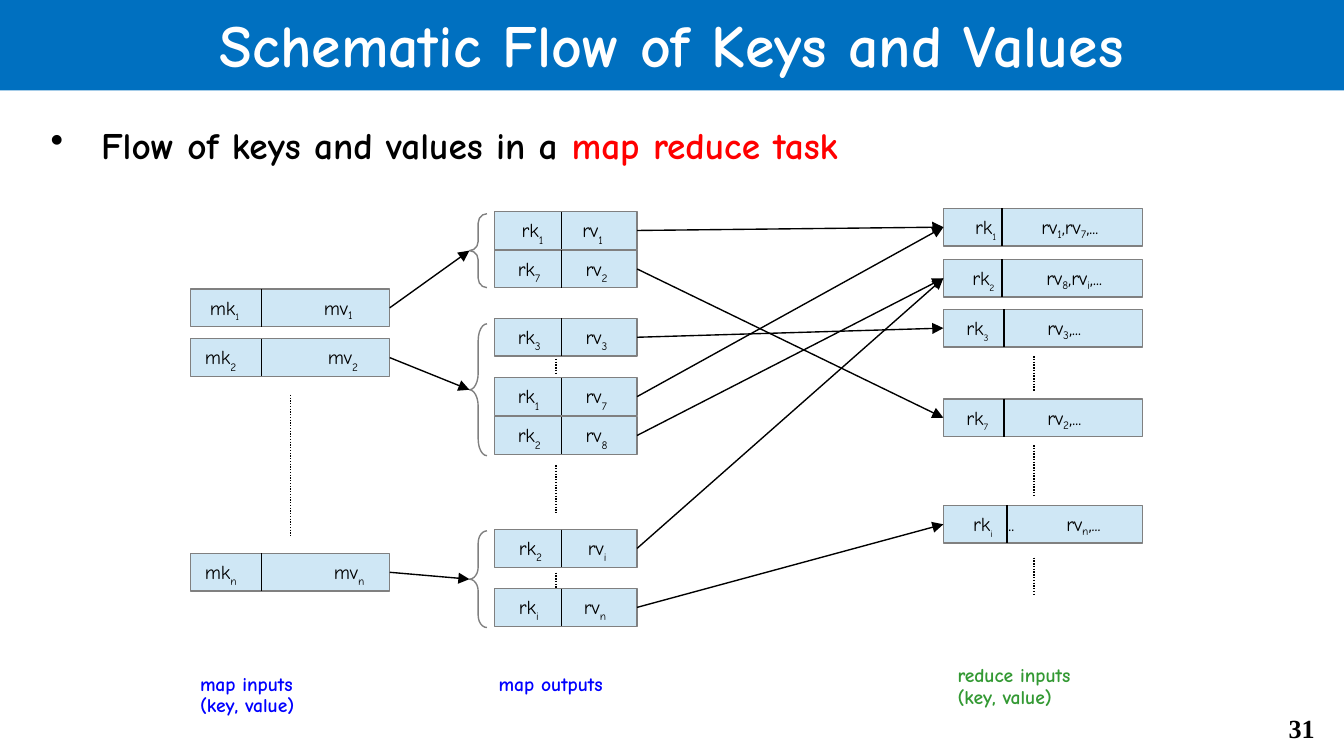
from dataclasses import dataclass
from itertools import chain

from lxml.etree import SubElement
from pptx import Presentation
from pptx.dml.color import RGBColor
from pptx.enum.dml import MSO_LINE_DASH_STYLE as Dash
from pptx.enum.shapes import MSO_CONNECTOR as Connector, MSO_SHAPE as Shape
from pptx.enum.text import MSO_ANCHOR as Anchor, PP_ALIGN as Align
from pptx.oxml.ns import qn
from pptx.util import Pt

COLORS = {
    "black": "000000", "white": "FFFFFF", "title": "0070C0", "accent": "FF0000",
    "record": "CFE7F5", "border": "808080", "map": "0000FF", "reduce": "339933",
}
FONT = "Comic Neue"
ROW_HEIGHT = 20.2
BRACE_LEFT, BRACE_WIDTH = 251.5, 9.4


@dataclass(frozen=True)
class Span:
    text: str
    color: str = "black"
    size: float = 10.5
    drop: int = 0


@dataclass(frozen=True)
class Column:
    left: float
    width: float

    @property
    def right(self) -> float:
        return self.left + self.width


@dataclass(frozen=True)
class Record:
    column: Column
    top: float
    divider: float
    text: str
    stops: tuple[float, ...]
    raised: bool = False

    @property
    def middle(self) -> float:
        return self.top + ROW_HEIGHT / 2


@dataclass(frozen=True)
class Brace:
    top: float
    height: float

    @property
    def middle(self) -> float:
        return self.top + self.height / 2


@dataclass(frozen=True)
class Label:
    left: float
    top: float
    text: str
    color: str


MAP_INPUT = Column(102.2, 106.6)
MAP_OUTPUT = Column(265, 76.3)
REDUCE_INPUT = Column(505.4, 106.6)

MAP_INPUTS = [
    Record(MAP_INPUT, 154.8, 38, "mk_1\tmv_1", (10.2, 71.3), True),
    Record(MAP_INPUT, 181.5, 38, "mk_2\tmv_2", (7.5, 73.4)),
    Record(MAP_INPUT, 296.5, 38, "mk_n\tmv_n", (7.5, 76.6)),
]
MAP_OUTPUTS = [
    Record(MAP_OUTPUT, 113.4, 35.8, "rk_1\trv_1", (14.5, 47)),
    Record(MAP_OUTPUT, 134, 35.8, "rk_7\trv_2", (12.4, 48.8)),
    Record(MAP_OUTPUT, 170.6, 35.8, "rk_3\trv_3", (12.4, 48.8)),
    Record(MAP_OUTPUT, 202.4, 35.8, "rk_1\trv_7", (12.4, 48.8)),
    Record(MAP_OUTPUT, 223.2, 35.8, "rk_2\trv_8", (12.4, 48.8)),
    Record(MAP_OUTPUT, 283.7, 35.8, "rk_2\trv_i", (13, 50)),
    Record(MAP_OUTPUT, 315.3, 35.8, "rk_i\trv_n", (13, 47.8)),
]
REDUCE_INPUTS = [
    Record(REDUCE_INPUT, 111.6, 31.4, "rk_1\trv_1,rv_7,...", (17, 52.5), True),
    Record(REDUCE_INPUT, 139, 31.4, "rk_2\trv_8,rv_i,...", (15.5, 55.2), True),
    Record(REDUCE_INPUT, 165.7, 32.5, "rk_3\trv_3,...", (12.3, 55.7), True),
    Record(REDUCE_INPUT, 213.7, 32.5, "rk_7\trv_2,...", (12.3, 55.7), True),
    Record(REDUCE_INPUT, 270.8, 34, "rk_i\t...\trv_n,...", (16, 33.2, 65.9), True),
]
BRACES = [Brace(114.5, 39.6), Brace(173.5, 70.6), Brace(284.4, 51.8)]
SHUFFLE_TARGETS = [0, 3, 2, 0, 1, 1, 4]
GAPS = {
    155.7: [(211.5, 288)],
    297.8: [(192.3, 200.8), (249.3, 275.6), (306.8, 315.3)],
    554: [(190.8, 209.5), (238.5, 266), (298.8, 318)],
}
LABELS = [
    Label(102.2, 357.3, "map inputs\n(key, value)", "map"),
    Label(262.2, 357.3, "map outputs", "map"),
    Label(508, 352.8, "reduce inputs\n(key, value)", "reduce"),
]


def paint(name: str) -> RGBColor:
    return RGBColor.from_string(COLORS[name])


def write(box, paragraphs: list[list[Span]], *, font: str = FONT, bold: bool = False,
          align=Align.LEFT, anchor=Anchor.TOP, insets=(7.2, 3.6, 7.2, 3.6),
          spacing: float = 1, before: float = 0, bullet: str = "",
          hanging: float = 0, tabs: tuple[float, ...] = ()) -> None:
    frame = box.text_frame
    frame.word_wrap = True
    frame.vertical_anchor = anchor
    frame.margin_left, frame.margin_top, frame.margin_right, frame.margin_bottom = map(Pt, insets)
    for index, spans in enumerate(paragraphs):
        para = frame.add_paragraph() if index else frame.paragraphs[0]
        para.alignment = align
        para.line_spacing = spacing
        para.space_before = Pt(before)
        properties = para._p.get_or_add_pPr()
        if bullet:
            properties.set("marL", str(Pt(hanging)))
            properties.set("indent", str(-Pt(hanging)))
            SubElement(properties, qn("a:buChar"), char=bullet)
        if tabs:
            stops = SubElement(properties, qn("a:tabLst"))
            for tab in tabs:
                SubElement(stops, qn("a:tab"), pos=str(Pt(tab)), algn="l")
        for span in spans:
            run = para.add_run()
            run.text = span.text
            run.font.name = font
            run.font.size = Pt(span.size)
            run.font.bold = bold
            run.font.color.rgb = paint(span.color)
            if span.drop:
                run.font._element.set("baseline", str(span.drop * 1000))


def add_box(page, left: float, top: float, width: float, height: float):
    return page.shapes.add_textbox(Pt(left), Pt(top), Pt(width), Pt(height))


def add_figure(page, kind, left: float, top: float, width: float, height: float,
               fill: str = "", border: str = ""):
    figure = page.shapes.add_shape(kind, Pt(left), Pt(top), Pt(width), Pt(height))
    figure.shadow.inherit = False
    for name, target in ((fill, figure.fill), (border, figure.line.fill)):
        if name:
            target.solid()
            target.fore_color.rgb = paint(name)
        else:
            target.background()
    figure.line.width = Pt(0.75)
    return figure


def add_line(page, start: tuple[float, float], end: tuple[float, float],
             arrow: bool = False, dotted: bool = False) -> None:
    line = page.shapes.add_connector(Connector.STRAIGHT, *map(Pt, (*start, *end)))
    line.line.color.rgb = paint("black")
    line.line.width = Pt(0.75)
    if dotted:
        line.line.dash_style = Dash.ROUND_DOT
    properties = line._element.spPr
    if arrow:
        SubElement(properties.find(qn("a:ln")), qn("a:tailEnd"), type="triangle")
    SubElement(properties, qn("a:effectLst"))


def split_subscripts(record: Record) -> list[Span]:
    first, *rest = record.text.split("_")
    spans = [Span(first)]
    for index, piece in enumerate(rest):
        if index == 0:
            spans.append(Span(piece[0], size=9 if record.raised else 10.5, drop=-33))
        else:
            spans.append(Span(piece[0], drop=-20 if record.raised else -33))
        if piece[1:]:
            spans.append(Span(piece[1:]))
    return spans


def add_record(page, record: Record) -> None:
    column = record.column
    cell = add_figure(page, Shape.RECTANGLE, column.left, record.top, column.width,
                      ROW_HEIGHT, "record", "border")
    key, *values = record.stops
    write(cell, [split_subscripts(record)], anchor=Anchor.MIDDLE, spacing=0.93,
          insets=(key, 3.6, 0, 2.9), tabs=tuple(value - key for value in values))
    divider = column.left + record.divider
    add_line(page, (divider, record.top), (divider, record.top + ROW_HEIGHT))


def add_brace(page, brace: Brace) -> None:
    figure = add_figure(page, Shape.LEFT_BRACE, BRACE_LEFT, brace.top, BRACE_WIDTH,
                        brace.height, border="border")
    figure.adjustments[0] = brace.height / 75


def main() -> None:
    deck = Presentation()
    deck.slide_width, deck.slide_height = Pt(720), Pt(405)
    page = deck.slides.add_slide(deck.slide_layouts[6])

    title = add_figure(page, Shape.RECTANGLE, 0, -1.5, 720, 50, "title")
    write(title, [[Span("Schematic Flow of Keys and Values", "white", 32)]],
          bold=True, align=Align.CENTER, anchor=Anchor.MIDDLE)
    write(add_box(page, 20, 62, 675, 40),
          [[Span("Flow of keys and values in a ", size=20),
            Span("map reduce task", "accent", 20)]],
          bold=True, before=6, bullet="•", hanging=27)

    for record in chain(MAP_INPUTS, MAP_OUTPUTS, REDUCE_INPUTS):
        add_record(page, record)
    for record, brace in zip(MAP_INPUTS, BRACES):
        add_brace(page, brace)
        add_line(page, (MAP_INPUT.right, record.middle), (BRACE_LEFT, brace.middle), arrow=True)
    for record, target in zip(MAP_OUTPUTS, SHUFFLE_TARGETS):
        add_line(page, (MAP_OUTPUT.right, record.middle),
                 (REDUCE_INPUT.left, REDUCE_INPUTS[target].middle), arrow=True)
    for center, stretches in GAPS.items():
        for top, bottom in stretches:
            add_line(page, (center, top), (center, bottom), dotted=True)
    for label in LABELS:
        write(add_box(page, label.left, label.top, 100, 27),
              [[Span(line, label.color)] for line in label.text.split("\n")],
              bold=True, spacing=0.93, insets=(5, 3.6, 5, 2.9))

    write(add_box(page, 666, 378, 45.4, 24.5), [[Span("31", size=14)]],
          font="Times New Roman", bold=True, align=Align.RIGHT, before=2.8)
    deck.save("out.pptx")


if __name__ == "__main__":
    main()
